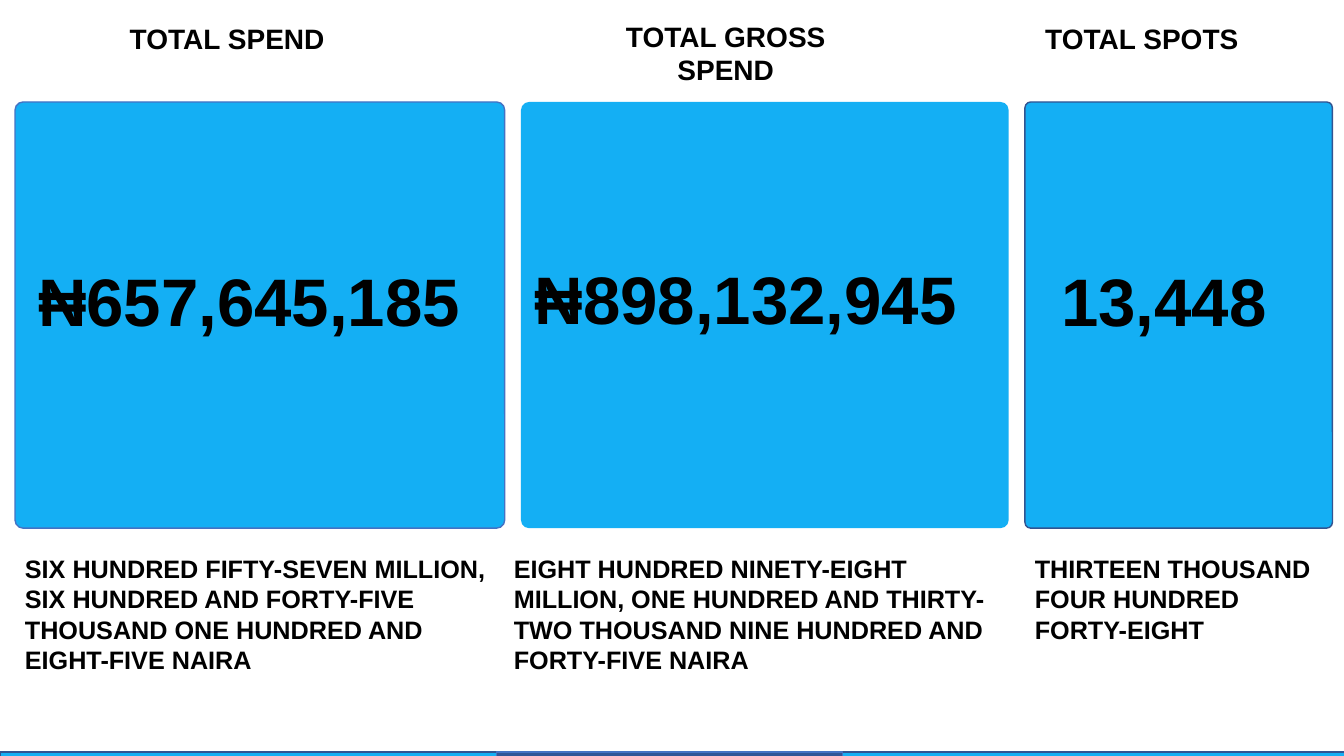
from pptx import Presentation
from pptx.dml.color import RGBColor
from pptx.enum.shapes import MSO_SHAPE
from pptx.enum.text import PP_ALIGN
from pptx.util import Cm, Pt

SKY, NAVY, BLUE, ROYAL, BLACK = "14AFF4", "325491", "4472C4", "2F5597", "000000"

presentation = Presentation()
presentation.slide_width = Cm(33.87)
presentation.slide_height = Cm(19.05)
slide = presentation.slides.add_slide(presentation.slide_layouts[6])


def add_block(preset, box, fill, outline):
    block = slide.shapes.add_shape(preset, *map(Cm, box))
    block.shadow.inherit = False
    block.fill.solid()
    block.fill.fore_color.rgb = RGBColor.from_string(fill)
    if outline:
        block.line.color.rgb = RGBColor.from_string(outline)
        block.line.width = Pt(1)
    else:
        block.line.fill.background()
    return block


def add_text(box, lines, size, align):
    frame = slide.shapes.add_textbox(*map(Cm, box)).text_frame
    frame.word_wrap = True
    for index, line in enumerate(lines):
        paragraph = frame.add_paragraph() if index else frame.paragraphs[0]
        paragraph.alignment = align
        run = paragraph.add_run()
        run.text = line
        for attribute, value in {"name": "Arial", "size": Pt(size), "bold": True}.items():
            setattr(run.font, attribute, value)
        run.font.color.rgb = RGBColor.from_string(BLACK)


CARD_TOP, CARD_HEIGHT = 2.57, 10.74
for left, width, outline in [(0.38, 12.34, BLUE), (25.83, 7.75, NAVY), (13.13, 12.29, None)]:
    card = add_block(MSO_SHAPE.ROUNDED_RECTANGLE, (left, CARD_TOP, width, CARD_HEIGHT), SKY, outline)
    card.adjustments[0] = 0.019

headings = [
    ((3.02, 0.41, 6.5, 1.11), ["TOTAL SPEND"], PP_ALIGN.LEFT),
    ((14.86, 0.36, 6.86, 1.96), ["TOTAL GROSS", "SPEND"], PP_ALIGN.CENTER),
    ((26.09, 0.41, 6.5, 1.11), ["TOTAL SPOTS"], PP_ALIGN.LEFT),
]
for box, lines, align in headings:
    add_text(box, lines, 20, align)

figures = [
    ((0.3, 6.4, 11.96, 2.41), "₦657,645,185"),
    ((13.13, 6.36, 11.33, 2.11), "₦898,132,945"),
    ((25.17, 6.4, 8.33, 2.06), "13,448"),
]
for box, figure in figures:
    add_text(box, [figure], 48, PP_ALIGN.CENTER)

WORDS_TOP = 13.82
amounts_in_words = [
    (0.38, 12.78, 3.33, "SIX HUNDRED FIFTY-SEVEN MILLION, SIX HUNDRED AND FORTY-FIVE "
     "THOUSAND ONE HUNDRED AND EIGHT-FIVE NAIRA"),
    (12.7, 12.52, 3.33, "EIGHT HUNDRED NINETY-EIGHT MILLION, ONE HUNDRED AND THIRTY-TWO "
     "THOUSAND NINE HUNDRED AND FORTY-FIVE NAIRA"),
    (25.83, 7.98, 2.57, "THIRTEEN THOUSAND FOUR HUNDRED FORTY-EIGHT"),
]
for left, width, height, words in amounts_in_words:
    add_text((left, WORDS_TOP, width, height), [words], 18, PP_ALIGN.LEFT)

FOOTER_TOP, FOOTER_HEIGHT = 18.95, 0.94
footer_bands = [(0, 12.7, SKY, NAVY), (21.03, 12.85, SKY, NAVY), (12.52, 8.71, ROYAL, BLUE)]
for left, width, fill, outline in footer_bands:
    add_block(MSO_SHAPE.RECTANGLE, (left, FOOTER_TOP, width, FOOTER_HEIGHT), fill, outline)

presentation.save("out.pptx")
